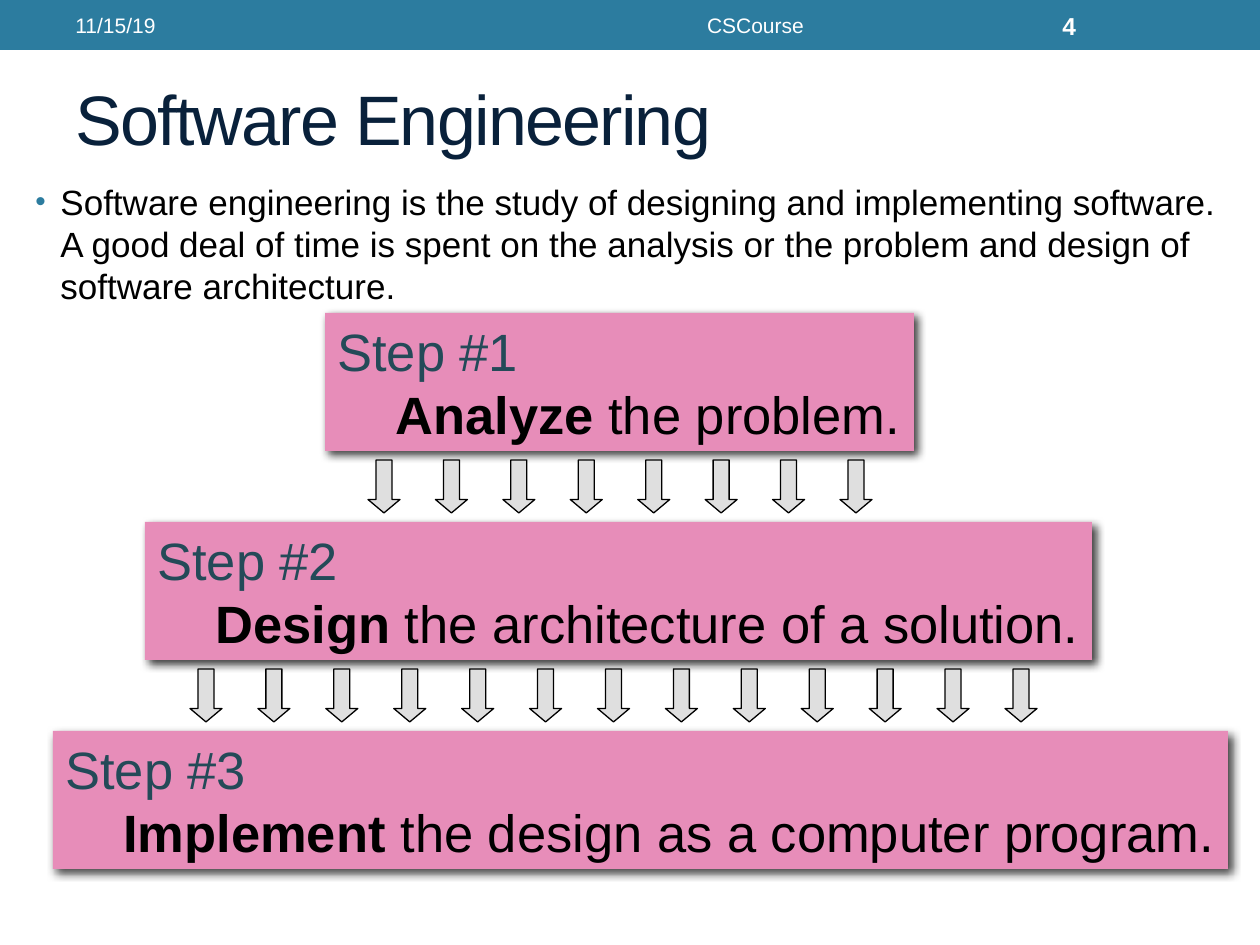
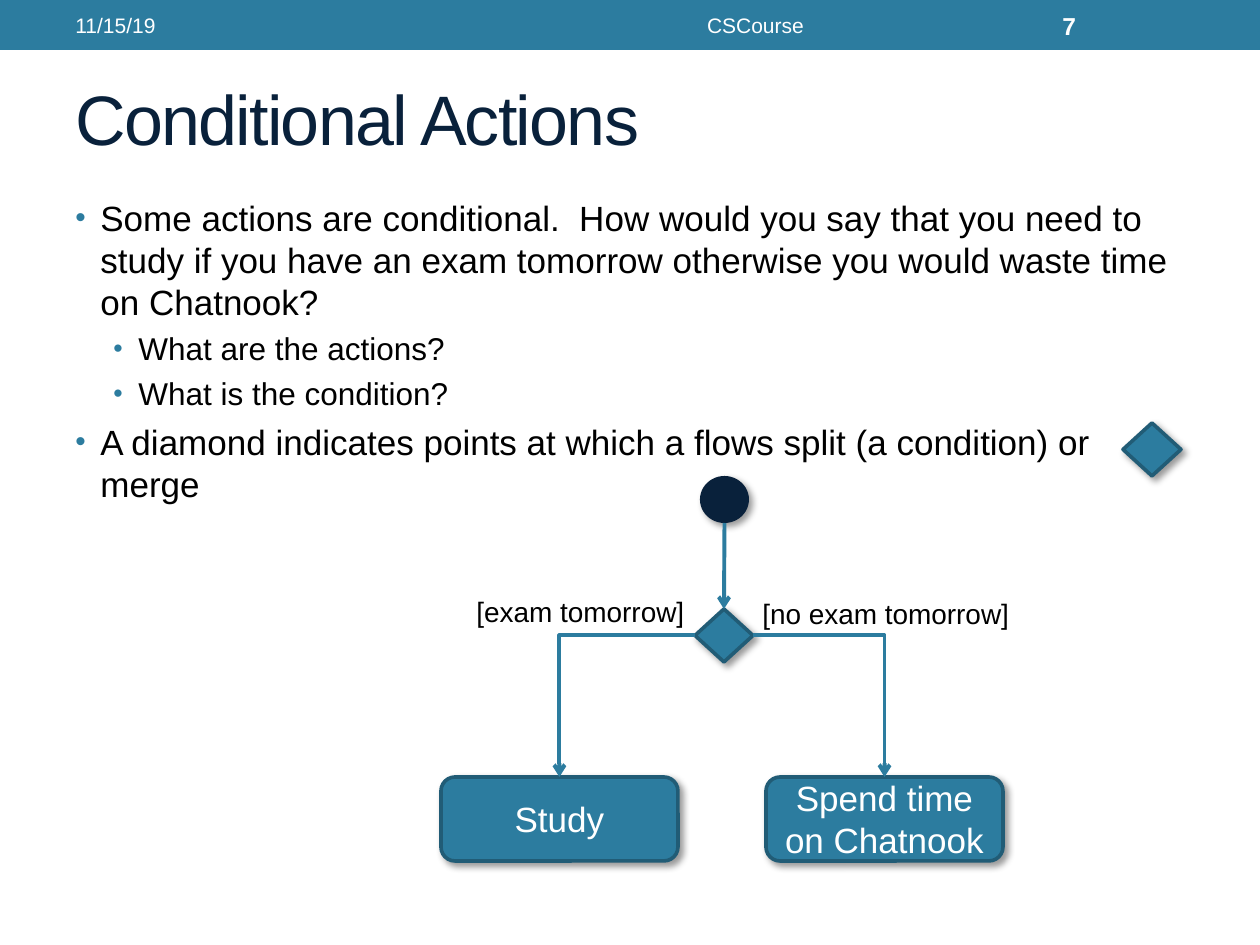
import pptx
import pptx.util
import pptx.dml.color
import pptx.enum.shapes
import pptx.enum.text
import pptx.oxml
import pptx.oxml.ns

SHAPE = pptx.enum.shapes.MSO_SHAPE
CONN = pptx.enum.shapes.MSO_CONNECTOR
ALIGN = pptx.enum.text.PP_ALIGN
ANCHOR = pptx.enum.text.MSO_ANCHOR
AUTO = pptx.enum.text.MSO_AUTO_SIZE
qn = pptx.oxml.ns.qn
NS = 'xmlns:a="http://schemas.openxmlformats.org/drawingml/2006/main"'


class Theme:
    font = "Arial"
    blue, edge, navy = "2C7C9F", "215C76", "09213B"
    pink, slate, grey = "E78DB9", "244A58", "DFDFDF"
    black, white = "000000", "FFFFFF"
    title, step, body, sub, label, number, footer = 40, 30, 20, 18, 16, 14, 12
    step_shadow = (75, 5, 3)  # opacity %, blur pt, distance pt
    node_shadow = (40, 4, 3)


# Content, lengths in px (126 to the inch)
DATE, COURSE = "11/15/19", "CSCourse"

ENGINEERING = {
    "title": "Software Engineering", "number": "4", "body_box": (23, 174, 1230, 166),
    "bullets": [(0, "Software engineering is the study of designing and implementing "
                    "software.  A good deal of time is spent on the analysis or the "
                    "problem and design of software architecture.")],
}
STEPS = [  # left, width, verb, rest
    (325, 589, "Analyze ", "the problem."),
    (145, 947, "Design ", "the architecture of a solution."),
    (53, 1175, "Implement ", "the design as a computer program."),
]
STEP_TOP, STEP_PITCH, STEP_H, STEP_INDENT = 313, 209, 138, 58
ARROW_ROWS = [(368, 840, 8), (190, 1005, 13)]  # first left, last left, count
ARROW_W, ARROW_H, ARROW_GAP = 32, 53, 9

CONDITIONAL = {
    "title": "Conditional Actions", "number": "7", "body_box": (63, 190, 1134, 703),
    "bullets": [
        (0, "Some actions are conditional.  How would you say that you need to study if "
            "you have an exam tomorrow otherwise you would waste time on Chatnook?"),
        (1, "What are the actions?"),
        (1, "What is the condition?"),
        (0, "A diamond indicates points at which a flows split (a condition) or merge"),
    ],
}
START = (700, 476, 49, 47)
DECISION, SAMPLE_DIAMOND = (695, 609, 58, 53), (1123, 423, 58, 53)
BRANCHES = [  # action, action box, diamond side, condition, condition box
    ("Study", (441, 777, 237, 84), 1, "[exam tomorrow]", (464, 588, 235, 47)),
    ("Spend time on Chatnook", (766, 777, 237, 84), 3,
     "[no exam tomorrow]", (750, 590, 275, 47)),
]


# Helpers
def px(n):
    return round(n * 914400 / 126)


def rgb(color):
    return pptx.dml.color.RGBColor.from_string(color)


def assign(obj, values):
    for name, value in values.items():
        setattr(obj, name, value)


def xml(parent, markup):
    tag, _, rest = markup.partition(" ")
    parent.append(pptx.oxml.parse_xml(f"<a:{tag} {NS} {rest}"))


def add_run(p, text, size, color, bold=False):
    r = p.add_run()
    r.text = text
    assign(r.font, {"name": Theme.font, "size": pptx.util.Pt(size), "bold": bold})
    r.font.color.rgb = rgb(color)
    return r


def add_text(slide, box, text, size, color, bold=False, align=ALIGN.LEFT, **frame):
    tf = slide.shapes.add_textbox(*map(px, box)).text_frame
    assign(tf, {"word_wrap": True, "vertical_anchor": ANCHOR.MIDDLE, **frame})
    p = tf.paragraphs[0]
    p.alignment = align
    return add_run(p, text, size, color, bold)


def add_shape(slide, kind, box, fill, line=None, width=0.75, shadow=None):
    sp = slide.shapes.add_shape(kind, *map(px, box))
    sp.fill.solid()
    sp.fill.fore_color.rgb = rgb(fill)
    if line:
        sp.line.color.rgb = rgb(line)
        sp.line.width = pptx.util.Pt(width)
    else:
        sp.line.fill.background()
    sp.shadow.inherit = False
    if shadow:
        alpha, blur, dist = shadow
        xml(sp._element.spPr.find(qn("a:effectLst")),
            f'outerShdw blurRad="{blur * 12700}" dist="{dist * 12700}" dir="2700000" '
            f'algn="tl" rotWithShape="0"><a:srgbClr val="{Theme.black}">'
            f'<a:alpha val="{alpha * 1000}"/></a:srgbClr></a:outerShdw>')
    return sp


def add_node(slide, kind, box):
    return add_shape(slide, kind, box, Theme.blue, Theme.edge, 2.08, Theme.node_shadow)


def add_flow(slide, kind, begin=(0, 0)):
    c = slide.shapes.add_connector(kind, *map(px, begin + begin))
    c.line.color.rgb = rgb(Theme.blue)
    c.line.width = pptx.util.Pt(2.25)
    spPr = c._element.spPr
    xml(spPr.find(qn("a:ln")), 'tailEnd type="arrow"/>')
    xml(spPr, "effectLst />")
    return c


def add_bullets(slide, box, bullets):
    tf = slide.shapes.add_textbox(*map(px, box)).text_frame
    tf.word_wrap = True
    for i, (level, text) in enumerate(bullets):
        p = tf.add_paragraph() if i else tf.paragraphs[0]
        size = Theme.sub if level else Theme.body
        assign(p, {"level": level, "space_before": pptx.util.Pt(size * 0.23)})
        pPr = p._p.get_or_add_pPr()
        pPr.set("marL", str(px(63 if level else 25)))
        pPr.set("indent", str(px(-25)))
        xml(pPr, f'buClr ><a:srgbClr val="{Theme.blue}"/></a:buClr>')
        xml(pPr, 'buSzPct val="85000"/>')
        xml(pPr, f'buFont typeface="{Theme.font}"/>')
        xml(pPr, 'buChar char="•"/>')
        add_run(p, text, size, Theme.black)


def new_slide(prs, content):
    """Blank slide with the shared band, footer texts, title and bullets."""
    slide = prs.slides.add_slide(prs.slide_layouts[6])
    add_shape(slide, SHAPE.RECTANGLE, (0, 0, 1260, 50), Theme.blue)
    add_text(slide, (63, 3, 400, 45), DATE, Theme.footer, Theme.white)
    add_text(slide, (472, 3, 567, 45), COURSE, Theme.footer, Theme.white,
             align=ALIGN.CENTER)
    add_text(slide, (1050, 3, 147, 45), content["number"], Theme.number, Theme.white, True)
    r = add_text(slide, (63, 50, 1134, 136), content["title"], Theme.title, Theme.navy)
    r._r.get_or_add_rPr().set("spc", "-100")
    add_bullets(slide, content["body_box"], content["bullets"])
    return slide


# Slide bodies
def build_engineering(prs):
    slide = new_slide(prs, ENGINEERING)
    for i, (left, width, verb, rest) in enumerate(STEPS):
        top = STEP_TOP + i * STEP_PITCH
        sp = add_shape(slide, SHAPE.RECTANGLE, (left, top, width, STEP_H), Theme.pink,
                       shadow=Theme.step_shadow)
        tf = sp.text_frame
        assign(tf, {"word_wrap": False, "auto_size": AUTO.SHAPE_TO_FIT_TEXT,
                    "vertical_anchor": ANCHOR.TOP})
        head, action = tf.paragraphs[0], tf.add_paragraph()
        head.alignment = action.alignment = ALIGN.LEFT
        action._p.get_or_add_pPr().set("marL", str(px(STEP_INDENT)))
        add_run(head, f"Step #{i + 1}", Theme.step, Theme.slate)
        add_run(action, verb, Theme.step, Theme.black, True)
        add_run(action, rest, Theme.step, Theme.black)

    # Rows of arrows below the first two steps
    for i, (first, last, count) in enumerate(ARROW_ROWS):
        top = STEP_TOP + i * STEP_PITCH + STEP_H + ARROW_GAP
        for n in range(count):
            left = first + (last - first) * n / (count - 1)
            sp = add_shape(slide, SHAPE.DOWN_ARROW, (left, top, ARROW_W, ARROW_H),
                           Theme.grey, Theme.black)
            sp.adjustments[1] = 0.42


def build_conditional(prs):
    slide = new_slide(prs, CONDITIONAL)
    add_node(slide, SHAPE.DIAMOND, SAMPLE_DIAMOND)
    add_shape(slide, SHAPE.OVAL, START, Theme.navy, shadow=Theme.node_shadow)
    decision = add_node(slide, SHAPE.DIAMOND, DECISION)
    x, y, w, h = START
    add_flow(slide, CONN.STRAIGHT, (x + w / 2, y + h)).end_connect(decision, 0)

    # Each branch: action box, elbow arrow, condition label
    for action, box, side, condition, label_box in BRANCHES:
        sp = add_node(slide, SHAPE.ROUNDED_RECTANGLE, box)
        assign(sp.text_frame, {"word_wrap": True, "vertical_anchor": ANCHOR.MIDDLE})
        p = sp.text_frame.paragraphs[0]
        p.alignment = ALIGN.CENTER
        add_run(p, action, Theme.body, Theme.white)
        c = add_flow(slide, CONN.ELBOW)
        c.begin_connect(decision, side)
        c.end_connect(sp, 0)
        c._element.spPr.find(qn("a:prstGeom")).set("prst", "bentConnector2")
        add_text(slide, label_box, condition, Theme.label, Theme.black, word_wrap=False,
                 auto_size=AUTO.SHAPE_TO_FIT_TEXT, vertical_anchor=ANCHOR.TOP)


def main():
    prs = pptx.Presentation()
    assign(prs, {"slide_width": px(1260), "slide_height": px(945)})
    build_engineering(prs)
    build_conditional(prs)
    prs.save("out.pptx")


if __name__ == "__main__":
    main()
